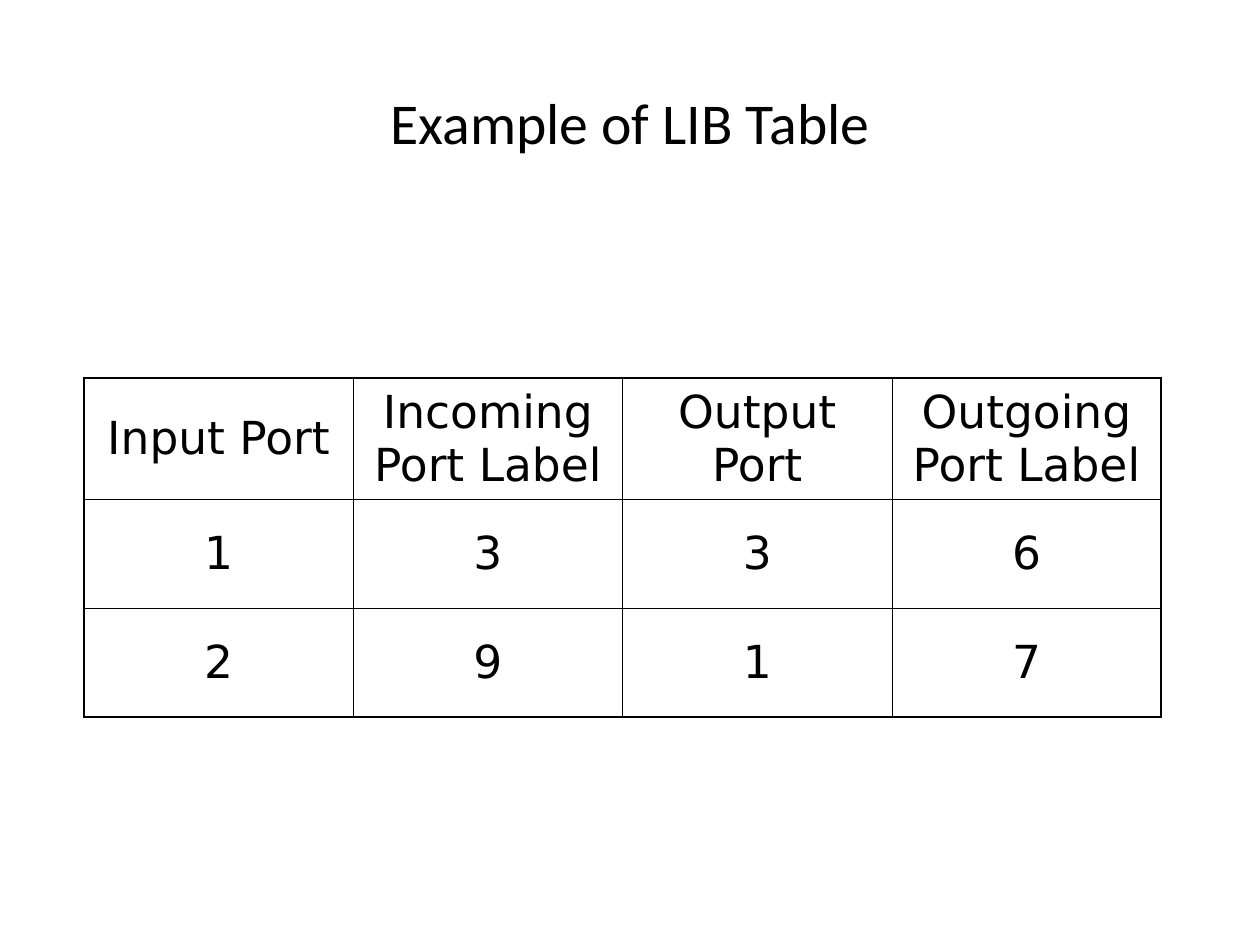
from lxml import etree
from pptx import Presentation
from pptx.dml.color import RGBColor
from pptx.enum import text
from pptx.oxml import ns
from pptx.util import Pt

COLORS = {"ink": "000000", "paper": "FFFFFF"}
THICK, THIN = 1.08, 0.45
LIB_ROWS = [
    ["Input Port", "Incoming Port Label", "Output Port", "Outgoing Port Label"],
    ["1", "3", "3", "6"],
    ["2", "9", "1", "7"],
]


def write_text(frame, content, *, font, size, color="ink", line_spacing=None):
    frame.word_wrap = True
    paragraph = frame.paragraphs[0]
    paragraph.alignment = text.PP_ALIGN.CENTER
    paragraph.line_spacing = line_spacing
    run = paragraph.add_run()
    run.text = content
    run.font.name = font
    run.font.size = Pt(size)
    run.font.color.rgb = RGBColor.from_string(COLORS[color])


def set_borders(cell, widths):
    properties = cell._tc.get_or_add_tcPr()
    for index, (side, width) in enumerate(widths.items()):
        line = etree.Element(ns.qn(f"a:ln{side}"), w=str(Pt(width)))
        fill = etree.SubElement(line, ns.qn("a:solidFill"))
        etree.SubElement(fill, ns.qn("a:srgbClr"), val=COLORS["ink"])
        properties.insert(index, line)


def add_title(slide, content, left, top, width, height):
    frame = slide.shapes.add_textbox(Pt(left), Pt(top), Pt(width), Pt(height)).text_frame
    frame.vertical_anchor = text.MSO_ANCHOR.MIDDLE
    write_text(frame, content, font="Calibri", size=33, line_spacing=0.9)


def add_lib_table(slide, rows, left, top, width, height, header_height):
    row_count, column_count = len(rows), len(rows[0])
    table = slide.shapes.add_table(
        row_count, column_count, Pt(left), Pt(top), Pt(width), Pt(height)
    ).table
    table.first_row = table.horz_banding = False
    body_height = (height - header_height) / (row_count - 1)
    for column in table.columns:
        column.width = Pt(width / column_count)
    for row_index, row in enumerate(rows):
        table.rows[row_index].height = Pt(body_height if row_index else header_height)
        for column_index, content in enumerate(row):
            cell = table.cell(row_index, column_index)
            cell.vertical_anchor = text.MSO_ANCHOR.MIDDLE
            set_borders(cell, {
                "L": THICK if column_index == 0 else THIN,
                "R": THICK if column_index == column_count - 1 else THIN,
                "T": THICK if row_index == 0 else THIN,
                "B": THICK if row_index == row_count - 1 else THIN,
            })
            cell.fill.background()
            write_text(cell.text_frame, content, font="DejaVu Sans", size=26)


def main():
    presentation = Presentation()
    presentation.slide_width = Pt(720)
    presentation.slide_height = Pt(540)
    slide = presentation.slides.add_slide(presentation.slide_layouts[6])
    slide.background.fill.solid()
    slide.background.fill.fore_color.rgb = RGBColor.from_string(COLORS["paper"])
    add_title(slide, "Example of LIB Table", 45, 24, 630, 96)
    add_lib_table(slide, LIB_ROWS, 48, 216, 615.6, 193.7, header_height=69.5)
    presentation.save("out.pptx")


if __name__ == "__main__":
    main()
